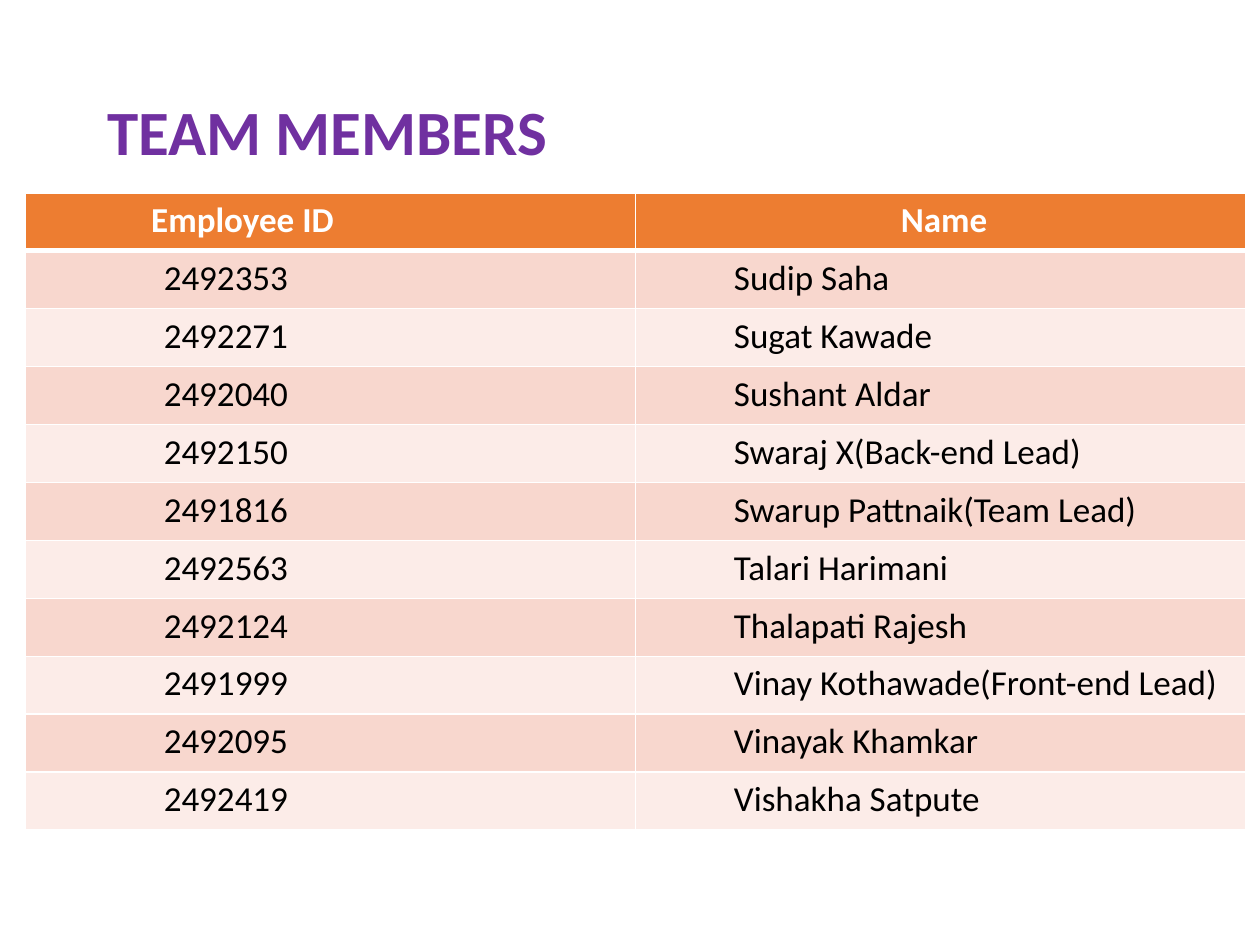
import pptx
import pptx.util
import pptx.dml.color
import pptx.enum.text
import pptx.oxml
import pptx.oxml.ns
from pptx.util import Inches

HEAD = ("Employee ID", "Name")
TEAM = (
    ("2492353", "Sudip Saha"),
    ("2492271", "Sugat Kawade"),
    ("2492040", "Sushant Aldar"),
    ("2492150", "Swaraj X(Back-end Lead)"),
    ("2491816", "Swarup Pattnaik(Team Lead)"),
    ("2492563", "Talari Harimani"),
    ("2492124", "Thalapati Rajesh"),
    ("2491999", "Vinay Kothawade(Front-end Lead)"),
    ("2492095", "Vinayak Khamkar"),
    ("2492419", "Vishakha Satpute"),
)
ALIGN = pptx.enum.text.PP_ALIGN


def color(code):
    """Turn a hex string into a colour."""
    return pptx.dml.color.RGBColor.from_string(code)


def write(frame, text, size=20, ink="000000", bold=False, align=ALIGN.LEFT, space=1.0):
    """Put one formatted paragraph into a text frame."""
    para = frame.paragraphs[0]
    para.alignment = align
    para.line_spacing = space
    run = para.add_run()
    run.text = text
    font = run.font
    font.name = "Calibri"
    font.size = pptx.util.Pt(size)
    font.bold = bold
    font.color.rgb = color(ink)


def border(cell, top=1, bottom=1):
    """Draw white lines on all sides of a cell."""
    props = cell._tc.get_or_add_tcPr()
    sides = (("L", 1), ("R", 1), ("T", top), ("B", bottom))
    for place, (side, width) in enumerate(sides):
        line = pptx.oxml.parse_xml(
            f'<a:ln{side} {pptx.oxml.ns.nsdecls("a")} w="{pptx.util.Pt(width)}">'
            f'<a:solidFill><a:srgbClr val="FFFFFF"/></a:solidFill></a:ln{side}>'
        )
        props.insert(place, line)


def fill(cell, text, back, indent, **style):
    """Give a cell its text, indent and background."""
    cell.margin_left = Inches(indent)
    cell.fill.solid()
    cell.fill.fore_color.rgb = color(back)
    write(cell.text_frame, text, **style)


def title(slide, text):
    """Place and format the slide title."""
    shape = slide.shapes.title
    shape.left, shape.top = Inches(0.75), Inches(0.6)
    shape.width, shape.height = Inches(8.34), Inches(0.94)
    shape.text_frame.vertical_anchor = pptx.enum.text.MSO_ANCHOR.MIDDLE
    write(shape.text_frame, text, size=36, ink="7030A0", bold=True, space=0.9)


def roster(slide):
    """Build the table of team members."""
    count = len(TEAM) + 1
    grid = slide.shapes.add_table(
        count, len(HEAD), Inches(0.2), Inches(1.53), Inches(9.69), Inches(0.46 * count)
    ).table
    for col, text in enumerate(HEAD):
        cell = grid.cell(0, col)
        fill(cell, text, "ED7D31", (1.0, 0.15)[col], ink="FFFFFF", bold=True,
             align=(ALIGN.LEFT, ALIGN.CENTER)[col])
        border(cell, bottom=3)
    for row, member in enumerate(TEAM, 1):
        back = "F8D7CE" if row % 2 else "FCECE8"
        for col, text in enumerate(member):
            cell = grid.cell(row, col)
            fill(cell, text, back, (1.1, 0.78)[col])
            border(cell, top=3 if row == 1 else 1)


def main():
    """Build and save the slide."""
    deck = pptx.Presentation()
    deck.slide_width, deck.slide_height = Inches(10), Inches(7.5)
    slide = deck.slides.add_slide(deck.slide_layouts[5])
    title(slide, "TEAM MEMBERS")
    roster(slide)
    deck.save("out.pptx")


if __name__ == "__main__":
    main()
